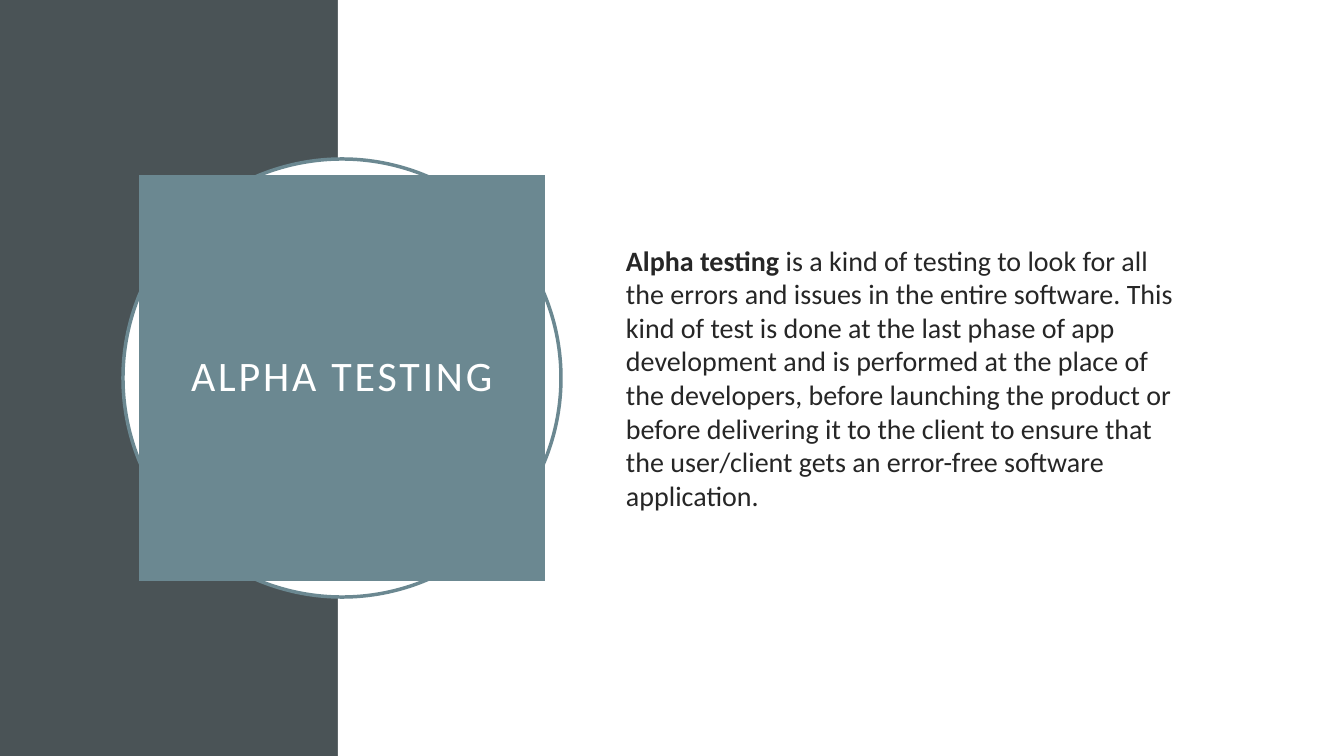
from pptx import Presentation
from pptx import util as u
from pptx.dml.color import RGBColor
from pptx.enum import shapes, text

COLORS = {"slate": "4A5356", "teal": "6B8891", "white": "FFFFFF", "ink": "262626"}
SLIDE = (1344, 756)
BAND_WIDTH = 338
CENTER = (342, 378)
RING, SQUARE = 438, 406
BODY_BOX = (616, 154, 587, 447)
TITLE = [("ALPHA TESTING", False)]
BODY = [
    ("Alpha testing ", True),
    ("is a kind of testing to look for all the errors and issues in the entire software. "
     "This kind of test is done at the last phase of app development and is performed at "
     "the place of the developers, before launching the product or before delivering it to "
     "the client to ensure that the user/client gets an error-free software application.", False),
]
TITLE_STYLE = {"size": 30, "color": "white", "align": text.PP_ALIGN.CENTER,
               "line_spacing": 0.9, "tracking": 200, "left": 20, "right": 20}
BODY_STYLE = {"size": 20, "color": "ink", "align": text.PP_ALIGN.LEFT,
              "line_spacing": 1.0, "tracking": 0, "left": 10, "right": 20}


def px(value):
    return u.Emu(round(value * 914400 / 100.8))


def rgb(name):
    return RGBColor.from_string(COLORS[name])


def centered(size):
    return CENTER[0] - size / 2, CENTER[1] - size / 2, size, size


def add_panel(slide, kind, box, fill, line=None):
    shape = slide.shapes.add_shape(kind, *map(px, box))
    shape.shadow.inherit = False
    shape.fill.solid()
    shape.fill.fore_color.rgb = rgb(fill)
    if line:
        shape.line.color.rgb = rgb(line)
        shape.line.width = u.Pt(2.5)
    else:
        shape.line.fill.background()
    return shape


def write(shape, runs, style):
    frame = shape.text_frame
    frame_format = {"word_wrap": True, "vertical_anchor": text.MSO_ANCHOR.MIDDLE,
                    "margin_left": px(style["left"]), "margin_right": px(style["right"])}
    for name, value in frame_format.items():
        setattr(frame, name, value)
    paragraph = frame.paragraphs[0]
    paragraph.alignment = style["align"]
    paragraph.line_spacing = style["line_spacing"]
    for words, bold in runs:
        run = paragraph.add_run()
        run.text = words
        font_format = {"name": "Calibri", "size": u.Pt(style["size"]), "bold": bold}
        for name, value in font_format.items():
            setattr(run.font, name, value)
        run.font.color.rgb = rgb(style["color"])
        if style["tracking"]:
            run.font._element.set("spc", str(style["tracking"]))


def main():
    presentation = Presentation()
    presentation.slide_width, presentation.slide_height = map(px, SLIDE)
    slide = presentation.slides.add_slide(presentation.slide_layouts[6])
    rectangle, oval = shapes.MSO_SHAPE.RECTANGLE, shapes.MSO_SHAPE.OVAL
    width, height = SLIDE
    add_panel(slide, rectangle, (0, 0, BAND_WIDTH, height), "slate")
    add_panel(slide, rectangle, (BAND_WIDTH, 0, width - BAND_WIDTH, height), "white")
    add_panel(slide, oval, centered(RING), "white", "teal")
    title = add_panel(slide, rectangle, centered(SQUARE), "teal")
    write(title, TITLE, TITLE_STYLE)
    body = slide.shapes.add_textbox(*map(px, BODY_BOX))
    write(body, BODY, BODY_STYLE)
    presentation.save("out.pptx")


if __name__ == "__main__":
    main()
